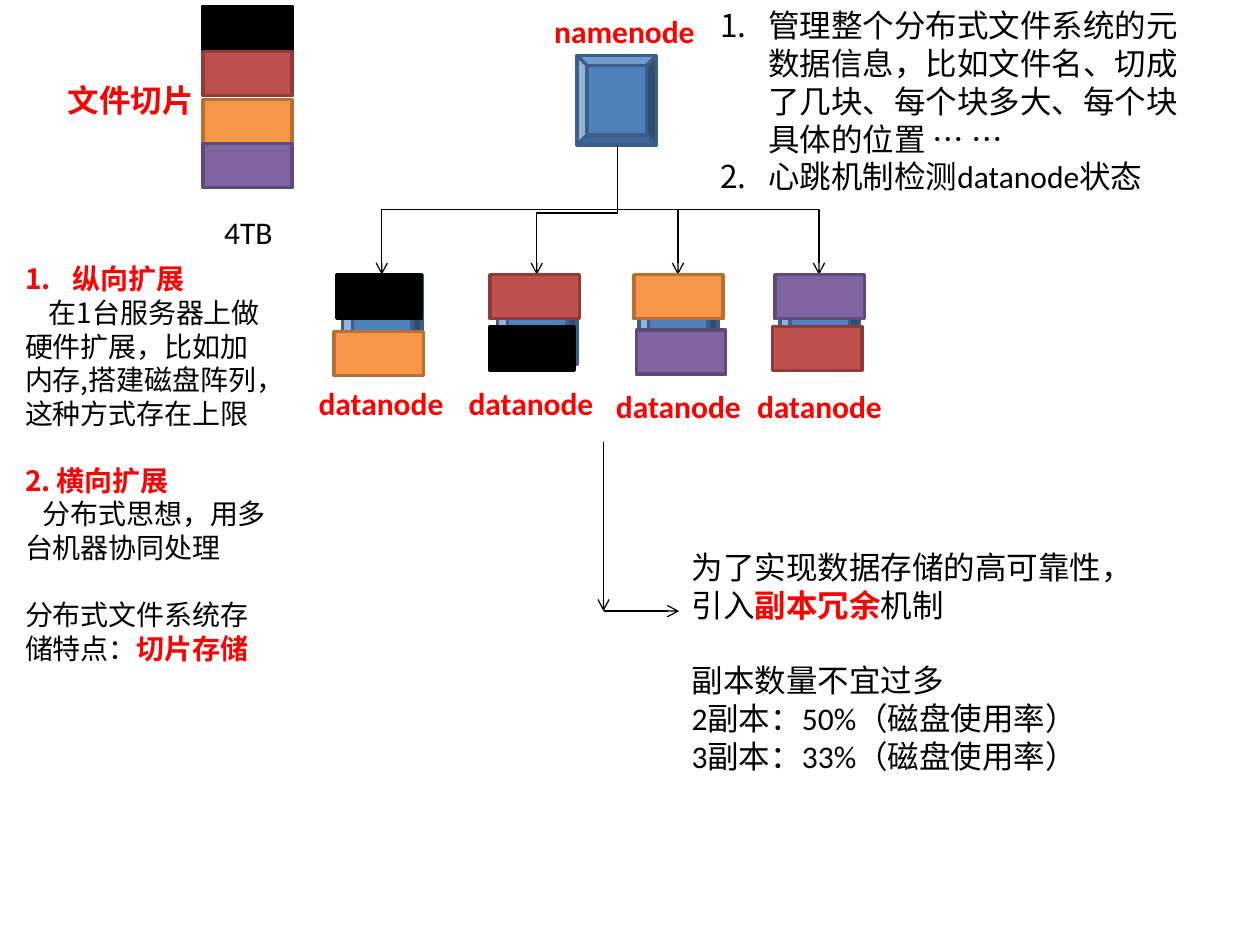
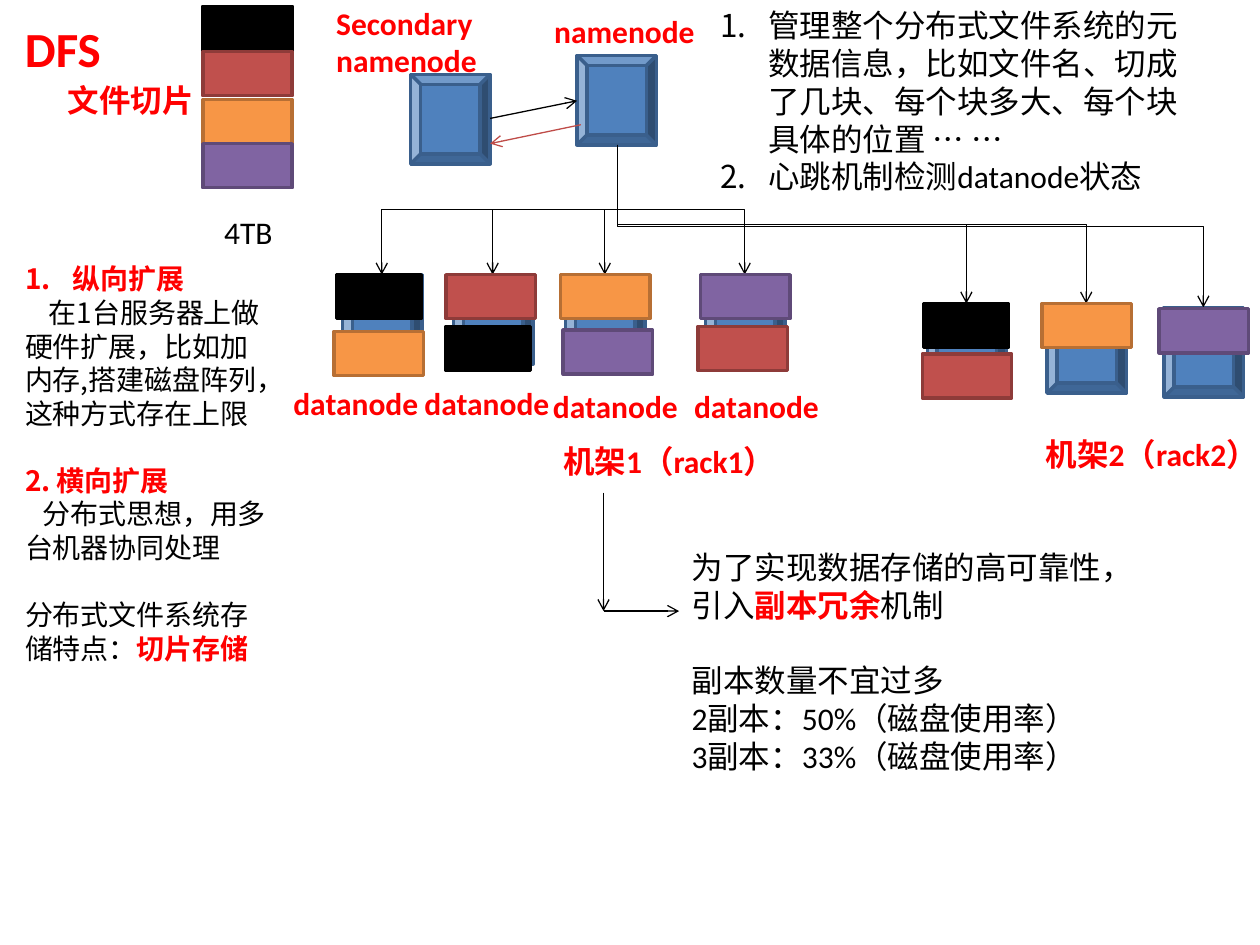
from dataclasses import dataclass

from lxml import etree
from pptx import Presentation
from pptx.dml.color import RGBColor
from pptx.enum.shapes import MSO_CONNECTOR, MSO_SHAPE
from pptx.enum.text import MSO_AUTO_SIZE
from pptx.oxml.ns import qn
from pptx.util import Inches, Pt

RECTANGLE, BEVEL = MSO_SHAPE.RECTANGLE, MSO_SHAPE.BEVEL
STRAIGHT, ELBOW = MSO_CONNECTOR.STRAIGHT, MSO_CONNECTOR.ELBOW
FIT_TEXT = MSO_AUTO_SIZE.SHAPE_TO_FIT_TEXT


@dataclass(frozen=True)
class Theme:
    latin: str = "Calibri"
    chinese: str = "Noto Sans CJK SC"
    text: str = "000000"
    accent: str = "FF0000"
    reply: str = "BF4C48"
    server: tuple = ("4F81BD", "3A5F8C")
    note_size: int = 16
    body_size: int = 18
    title_size: int = 28
    outline: float = 2
    wire: float = 0.75


THEME = Theme()
CHUNKS = {
    "black": ("000000", "000000"),
    "red": ("C0504D", "8E3B39"),
    "orange": ("F79646", "B76F34"),
    "purple": ("8064A2", "5F4A78"),
}
CHUNK_WIDTH, BLACK_WIDTH, CHUNK_HEIGHT = 0.71, 0.67, 0.35
SERVER_WIDTH, SERVER_HEIGHT = 0.63, 0.71
NAMENODE = (4.58, 0.44)
SECONDARY = (3.26, 0.59)
HUB_LEFT, HUB_TOP = 4.9, 1.15

TITLE = "DFS"
FILE_CHUNKS = [("black", 0.05), ("red", 0.41), ("orange", 0.79), ("purple", 1.14)]
RACK_TOP = 2.18
RACK_ONE = [
    [("black", -0.05, 0), ("orange", -0.07, 0.45)],
    [("red", -0.06, 0), ("black", -0.06, 0.41)],
    [("orange", -0.04, 0), ("purple", -0.02, 0.44)],
    [("purple", -0.04, 0), ("red", -0.06, 0.41)],
]
RACK_TWO = [
    (7.36, 2.41, [("black", -0.03, 0), ("red", -0.04, 0.4)]),
    (8.31, 2.41, [("orange", -0.04, 0)]),
    (9.24, 2.44, [("purple", -0.04, 0.01)]),
]
LABEL_TOPS = [3, 3, 3.02, 3.02]
PAGES = [
    {"servers": [2.72, 3.95, 5.07, 6.19], "labels": [2.43, 3.62, 4.79, 5.91],
     "starts": [1.15, 1.2, 1.15, 1.15], "note_arrow": 3.51, "secondary": False},
    {"servers": [2.72, 3.6, 4.49, 5.6], "labels": [2.23, 3.27, 4.29, 5.41],
     "starts": [1.15] * 4, "note_arrow": 3.91, "secondary": True},
]

SCALING = [
    {"spans": [("纵向扩展", True)], "numbered": True},
    {"spans": [("在1台服务器上做硬件扩展，比如加内存,搭建磁盘阵列，这种方式存在上限", False)],
     "indent": 0.19},
    {"spans": [("2. 横向扩展", True)], "gap": 19.2},
    {"spans": [("分布式思想，用多台机器协同处理", False)], "indent": 0.14},
    {"spans": [("分布式文件系统存储特点：", False), ("切片存储", True)], "gap": 19.2},
]
DUTIES = [
    {"spans": [("管理整个分布式文件系统的元数据信息，比如文件名、切成了几块、"
                "每个块多大、每个块具体的位置 … …", False)], "numbered": True},
    {"spans": [("心跳机制检测datanode状态", False)], "numbered": True},
]
REPLICAS = [
    {"spans": [("为了实现数据存储的高可靠性，引入", False), ("副本冗余", True), ("机制", False)]},
    {"spans": [("副本数量不宜过多", False)], "gap": 21.6},
    {"spans": [("2副本：50%（磁盘使用率）", False)]},
    {"spans": [("3副本：33%（磁盘使用率）", False)]},
]


def add_text(page, left, top, width, height, paragraphs, size=THEME.body_size,
             font=THEME.latin, wrap=True):
    box = page.shapes.add_textbox(*map(Inches, (left, top, width, height)))
    frame = box.text_frame
    frame.word_wrap = wrap
    frame.auto_size = FIT_TEXT
    for index, content in enumerate(paragraphs):
        para = frame.paragraphs[0] if index == 0 else frame.add_paragraph()
        properties = para._p.get_or_add_pPr()
        if "gap" in content:
            para.space_before = Pt(content["gap"])
        if "indent" in content:
            properties.set("indent", str(Inches(content["indent"])))
        if content.get("numbered"):
            properties.set("marL", str(Inches(0.38)))
            properties.set("indent", str(Inches(-0.38)))
            etree.SubElement(properties, qn("a:buFont"), typeface="+mj-lt")
            etree.SubElement(properties, qn("a:buAutoNum"), type="arabicPeriod")
        for words, strong in content["spans"]:
            span = para.add_run()
            span.text = words
            span.font.size = Pt(size)
            span.font.bold = strong
            span.font.color.rgb = RGBColor.from_string(THEME.accent if strong else THEME.text)
            span.font.name = font
            etree.SubElement(span._r.get_or_add_rPr(), qn("a:ea"), typeface=THEME.chinese)


def add_label(page, left, top, width, height, *lines, **options):
    add_text(page, left, top, width, height,
             [{"spans": [(line, True)]} for line in lines], **options)


def add_box(page, preset, left, top, width, height, colours):
    shape = page.shapes.add_shape(preset, *map(Inches, (left, top, width, height)))
    shape.shadow.inherit = False
    fill, line = map(RGBColor.from_string, colours)
    shape.fill.solid()
    shape.fill.fore_color.rgb = fill
    shape.line.color.rgb = line
    shape.line.width = Pt(THEME.outline)


def add_server(page, left, top):
    add_box(page, BEVEL, left, top, SERVER_WIDTH, SERVER_HEIGHT, THEME.server)


def add_chunk(page, name, left, top, width=CHUNK_WIDTH):
    add_box(page, RECTANGLE, left, top, width, CHUNK_HEIGHT, CHUNKS[name])


def add_arrow(page, start, end, colour=THEME.text, kind=STRAIGHT):
    arrow = page.shapes.add_connector(kind, *map(Inches, (*start, *end)))
    arrow.line.color.rgb = RGBColor.from_string(colour)
    arrow.line.width = Pt(THEME.wire)
    line = arrow.line._get_or_add_ln()
    etree.SubElement(line, qn("a:tailEnd"), type="arrow")
    etree.SubElement(arrow._element.spPr, qn("a:effectLst"))
    return arrow


def add_branch(page, start_top, target_left, target_top):
    drop, reach = target_top - start_top, abs(target_left - HUB_LEFT)
    left = (HUB_LEFT + target_left - drop) / 2
    top = (start_top + target_top - reach) / 2
    branch = add_arrow(page, (left, top), (left + drop, top + reach), kind=ELBOW)
    transform = branch._element.spPr.find(qn("a:xfrm"))
    if target_left < HUB_LEFT:
        transform.set("rot", str(90 * 60000))
    else:
        transform.set("rot", str(270 * 60000))
        transform.set("flipH", "1")


def add_rack(page, nodes, starts):
    for left, top, chunks in nodes:
        add_server(page, left, top)
    for (left, top, chunks), start in zip(nodes, starts):
        add_branch(page, start, left + 0.31, top)
    for left, top, chunks in nodes:
        for name, across, down in chunks:
            width = BLACK_WIDTH if name == "black" else CHUNK_WIDTH
            add_chunk(page, name, left + across, top + down, width)


def add_secondary(page):
    add_label(page, 0.1, 0.1, 1.36, 0.57, TITLE, size=THEME.title_size)
    add_server(page, *SECONDARY)
    add_label(page, 2.57, -0.02, 1.32, 0.71, "Secondary", "namenode", wrap=False)
    add_arrow(page, (3.89, 0.94), (4.58, 0.8))
    add_arrow(page, (4.61, 0.99), (3.89, 1.14), THEME.reply)
    add_rack(page, RACK_TWO, [HUB_TOP] * len(RACK_TWO))
    add_label(page, 4.37, 3.46, 1.91, 0.4, "机架1（rack1）")
    add_label(page, 8.2, 3.4, 1.91, 0.4, "机架2（rack2）")


def build_page(deck, layout):
    page = deck.slides.add_slide(deck.slide_layouts[6])
    for name, top in FILE_CHUNKS:
        add_chunk(page, name, 1.61, top)
    add_text(page, 1.68, 1.64, 0.59, 0.4, [{"spans": [("4TB", False)]}], wrap=False)
    add_label(page, 0.44, 0.59, 1.21, 0.4, "文件切片", wrap=False)
    add_server(page, *NAMENODE)
    add_label(page, 4.3, 0.05, 1.32, 0.4, "namenode", wrap=False)
    nodes = [(left, RACK_TOP, chunks) for left, chunks in zip(layout["servers"], RACK_ONE)]
    add_rack(page, nodes, layout["starts"])
    for left, top in zip(layout["labels"], LABEL_TOPS):
        add_label(page, left, top, 1.29, 0.4, "datanode")
    add_text(page, 0.1, 2.03, 2.18, 3.33, SCALING, THEME.note_size, THEME.chinese)
    add_text(page, 5.62, 0, 3.94, 1.62, DUTIES)
    add_arrow(page, (4.79, layout["note_arrow"]), (4.79, 4.85))
    add_arrow(page, (4.79, 4.85), (5.39, 4.85))
    add_text(page, 5.39, 4.3, 3.94, 1.92, REPLICAS)
    if layout["secondary"]:
        add_secondary(page)


deck = Presentation()
deck.slide_width, deck.slide_height = Inches(10), Inches(7.5)
for layout in PAGES:
    build_page(deck, layout)
deck.save("out.pptx")
